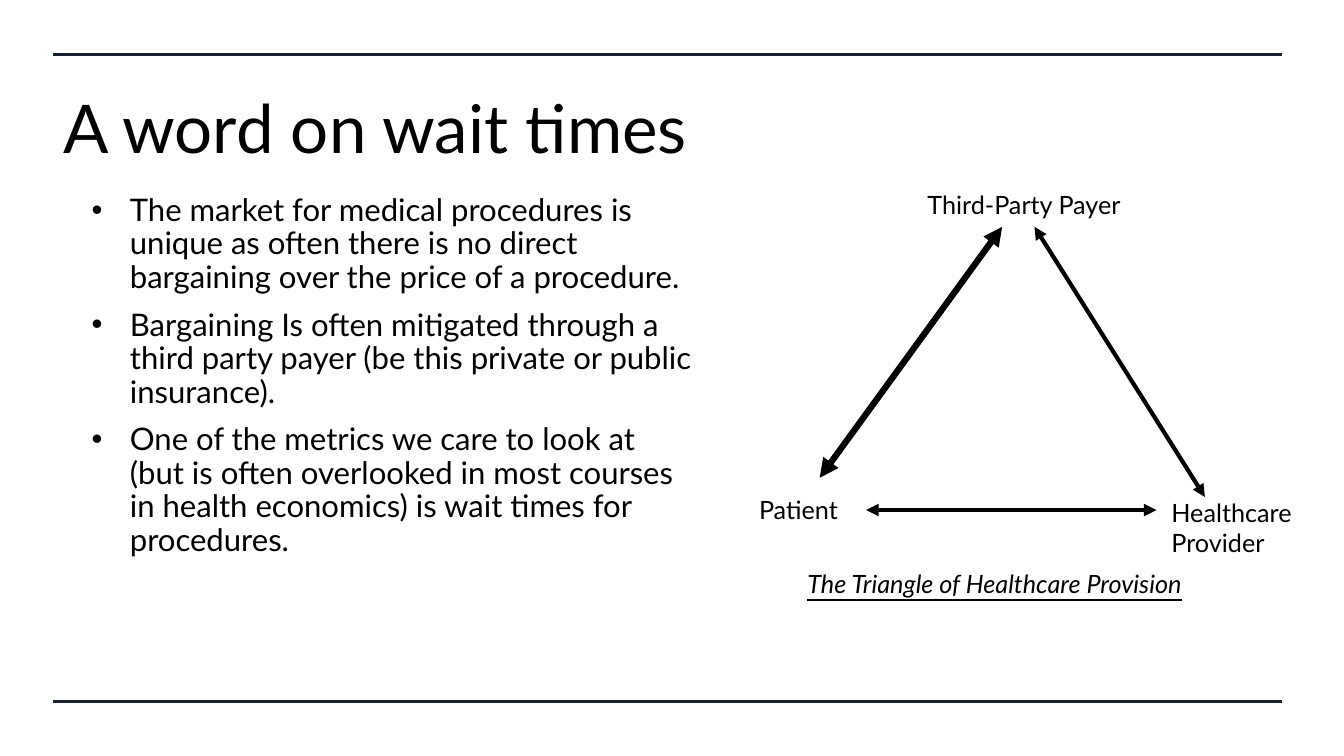
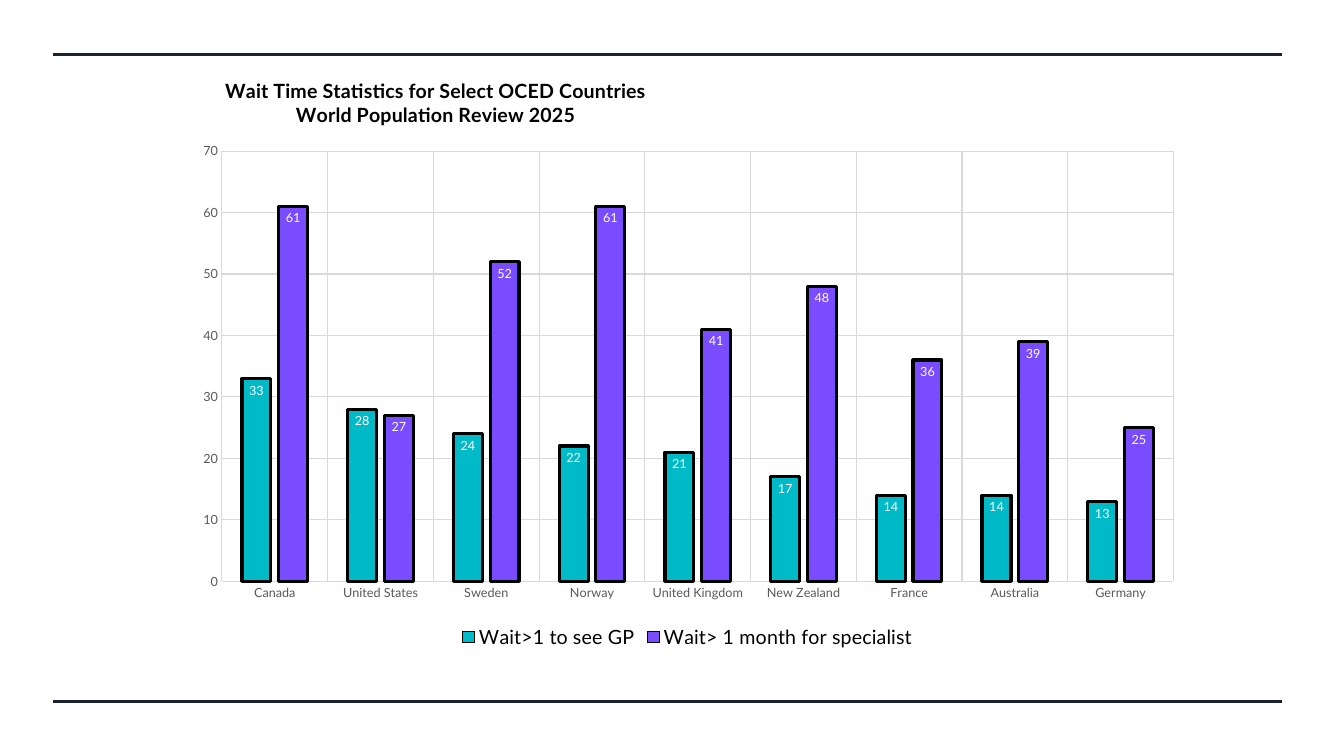
from pptx import Presentation
from pptx import util as u
from pptx.chart.data import CategoryChartData
from pptx.dml.color import RGBColor
from pptx.enum import chart as charts, shapes, text
from pptx.oxml import ns, parse_xml

FONT = "Lato"
BLACK, WHITE, NAVY = "000000", "FFFFFF", "182230"
GREY, GRID = "595959", "D9D9D9"
TITLE_ONLY, BLANK = 5, 6

BULLETS = [
    "The market for medical procedures is unique as often there is no direct "
    "bargaining over the price of a procedure.",
    "Bargaining Is often mitigated through a third party payer (be this "
    "private or public insurance).",
    "One of the metrics we care to look at (but is often overlooked in most "
    "courses in health economics) is wait times for procedures.",
]
COUNTRIES = ["Canada", "United States", "Sweden", "Norway", "United Kingdom",
             "New Zealand", "France", "Australia", "Germany"]
WAITS = [
    ("Wait>1 to see GP", "00BAC8", [33, 28, 24, 22, 21, 17, 14, 14, 13]),
    ("Wait> 1 month for specialist", "794DFF",
     [61, 27, 52, 61, 41, 48, 36, 39, 25]),
]


def color(value):
    return RGBColor.from_string(value)


def style_font(font, size, value=BLACK, bold=None):
    font.name, font.size, font.bold = FONT, u.Pt(size), bold
    font.color.rgb = color(value)


def add_line(slide, start, end, width, value=BLACK, arrows=False):
    """Straight line, optionally with an arrowhead at both ends."""
    line = slide.shapes.add_connector(
        shapes.MSO_CONNECTOR.STRAIGHT, *(u.Inches(n) for n in (*start, *end)))
    line.line.color.rgb = color(value)
    line.line.width = u.Pt(width)
    properties = line.element.spPr
    if arrows:
        for tag in ("headEnd", "tailEnd"):
            properties.find(ns.qn("a:ln")).append(parse_xml(
                f'<a:{tag} {ns.nsdecls("a")} type="triangle"/>'))
    properties.append(parse_xml(f'<a:effectLst {ns.nsdecls("a")}/>'))


def new_slide(presentation, layout):
    """Slide with the two rules shared by the whole presentation."""
    slide = presentation.slides.add_slide(presentation.slide_layouts[layout])
    for y in (0.54, 6.96):
        add_line(slide, (0.53, y), (12.72, y), 2.25, NAVY)
    return slide


def set_title(slide, wording):
    title = slide.shapes.title
    title.left, title.top = u.Inches(0.53), u.Inches(0.65)
    title.width, title.height = u.Inches(11.63), u.Inches(1.22)
    frame = title.text_frame
    frame.text = wording
    frame.vertical_anchor = text.MSO_ANCHOR.MIDDLE
    paragraph = frame.paragraphs[0]
    paragraph.alignment = text.PP_ALIGN.LEFT
    style_font(paragraph.font, 48)


def add_bullets(slide, box, items):
    frame = slide.shapes.add_textbox(*map(u.Inches, box)).text_frame
    frame.word_wrap = True
    frame.text = "\n".join(items)
    for index, paragraph in enumerate(frame.paragraphs):
        paragraph.line_spacing = 0.9
        paragraph.space_before = u.Pt(10 if index else 0)
        properties = paragraph._p.get_or_add_pPr()
        properties.set("marL", str(u.Inches(0.38)))
        properties.set("indent", str(-u.Inches(0.38)))
        properties.append(parse_xml(
            f'<a:buFont {ns.nsdecls("a")} typeface="Arial"/>'))
        properties.append(parse_xml(f'<a:buChar {ns.nsdecls("a")} char="•"/>'))
        style_font(paragraph.font, 22.2)


def add_label(slide, box, wording):
    frame = slide.shapes.add_textbox(*map(u.Inches, box)).text_frame
    frame.word_wrap = False
    frame.auto_size = text.MSO_AUTO_SIZE.SHAPE_TO_FIT_TEXT
    frame.text = wording
    paragraph = frame.paragraphs[0]
    style_font(paragraph.font, 18)
    return paragraph


def add_triangle(slide, left, top):
    """Three parties joined by double arrows, with a caption below."""
    for x1, y1, x2, y2, width in ((0.7, 2.91, 2.51, 0.42, 4.5),
                                  (4.52, 3.1, 2.83, 0.42, 3),
                                  (4.04, 3.23, 1.16, 3.23, 3)):
        add_line(slide, (left + x1, top + y1), (left + x2, top + y2),
                 width, arrows=True)
    for x, y, width, height, wording in (
            (0, 3.03, 1, 0.4, "Patient"),
            (4.09, 3.05, 1.41, 0.71, "Healthcare\vProvider"),
            (1.67, 0, 2.17, 0.4, "Third-Party Payer")):
        add_label(slide, (left + x, top + y, width, height), wording)
    caption = add_label(slide, (left + 0.48, top + 3.76, 4.28, 0.4),
                        "The Triangle of Healthcare Provision")
    caption.font.italic = caption.font.underline = True


def set_layout(parent, index, target="", **fractions):
    """Place a chart part by fractions of the chart area."""
    for old in parent.findall(ns.qn("c:layout")):
        parent.remove(old)
    modes = "".join(f'<c:{axis}Mode val="edge"/>' for axis in "xy")
    values = "".join(f'<c:{k} val="{v}"/>' for k, v in fractions.items())
    parent.insert(index, parse_xml(
        f'<c:layout {ns.nsdecls("c")}><c:manualLayout>{target}{modes}{values}'
        '</c:manualLayout></c:layout>'))


def style_axis(axis):
    axis.has_major_gridlines = True
    for line in (axis.major_gridlines.format.line, axis.format.line):
        line.color.rgb = color(GRID)
        line.width = u.Pt(0.75)
    axis.major_tick_mark = axis.minor_tick_mark = charts.XL_TICK_MARK.NONE
    style_font(axis.tick_labels.font, 9, GREY)


def add_wait_chart(slide, box):
    data = CategoryChartData()
    data.categories = COUNTRIES
    for name, _, values in WAITS:
        data.add_series(name, values)
    chart = slide.shapes.add_chart(charts.XL_CHART_TYPE.COLUMN_CLUSTERED,
                                   *map(u.Inches, box), data).chart
    style_font(chart.font, 10)

    # Title, set to the left over the plot
    chart.has_title = True
    title = chart.chart_title
    title.text_frame.text = ("Wait Time Statistics for Select OCED Countries\n"
                             "World Population Review 2025")
    for paragraph in title.text_frame.paragraphs:
        style_font(paragraph.font, 14, bold=True)
    title.include_in_layout = False
    set_layout(title.element, 1, x=0.04, y=0.03)
    set_layout(chart.element.chart.plotArea, 0,
               '<c:layoutTarget val="inner"/>', x=0.04, y=0.16, w=0.94, h=0.72)

    # Axes
    style_axis(chart.category_axis)
    values_axis = chart.value_axis
    style_axis(values_axis)
    values_axis.format.line.fill.background()
    values_axis.minimum_scale, values_axis.maximum_scale = 0, 70
    values_axis.major_unit = 10

    # Columns and their labels
    plot = chart.plots[0]
    plot.gap_width, plot.overlap = 139, -27
    plot.vary_by_categories = False
    for series, (_, fill, _) in zip(plot.series, WAITS):
        series.format.fill.solid()
        series.format.fill.fore_color.rgb = color(fill)
        series.format.line.color.rgb = color(BLACK)
        series.format.line.width = u.Pt(2.25)
        labels = series.data_labels
        labels.show_value = True
        labels.position = charts.XL_LABEL_POSITION.INSIDE_END
        style_font(labels.font, 9, WHITE)

    # Legend
    chart.has_legend = True
    chart.legend.position = charts.XL_LEGEND_POSITION.BOTTOM
    chart.legend.include_in_layout = False
    style_font(chart.legend.font, 14)


def main():
    presentation = Presentation()
    presentation.slide_width = u.Inches(13.33)
    presentation.slide_height = u.Inches(7.5)

    slide = new_slide(presentation, TITLE_ONLY)
    set_title(slide, "A word on wait times")
    add_bullets(slide, (0.81, 1.88, 6.15, 3.94), BULLETS)
    add_triangle(slide, 7.43, 1.83)

    slide = new_slide(presentation, BLANK)
    add_wait_chart(slide, (1.8, 0.55, 10.04, 5.93))

    presentation.save("out.pptx")


if __name__ == "__main__":
    main()
